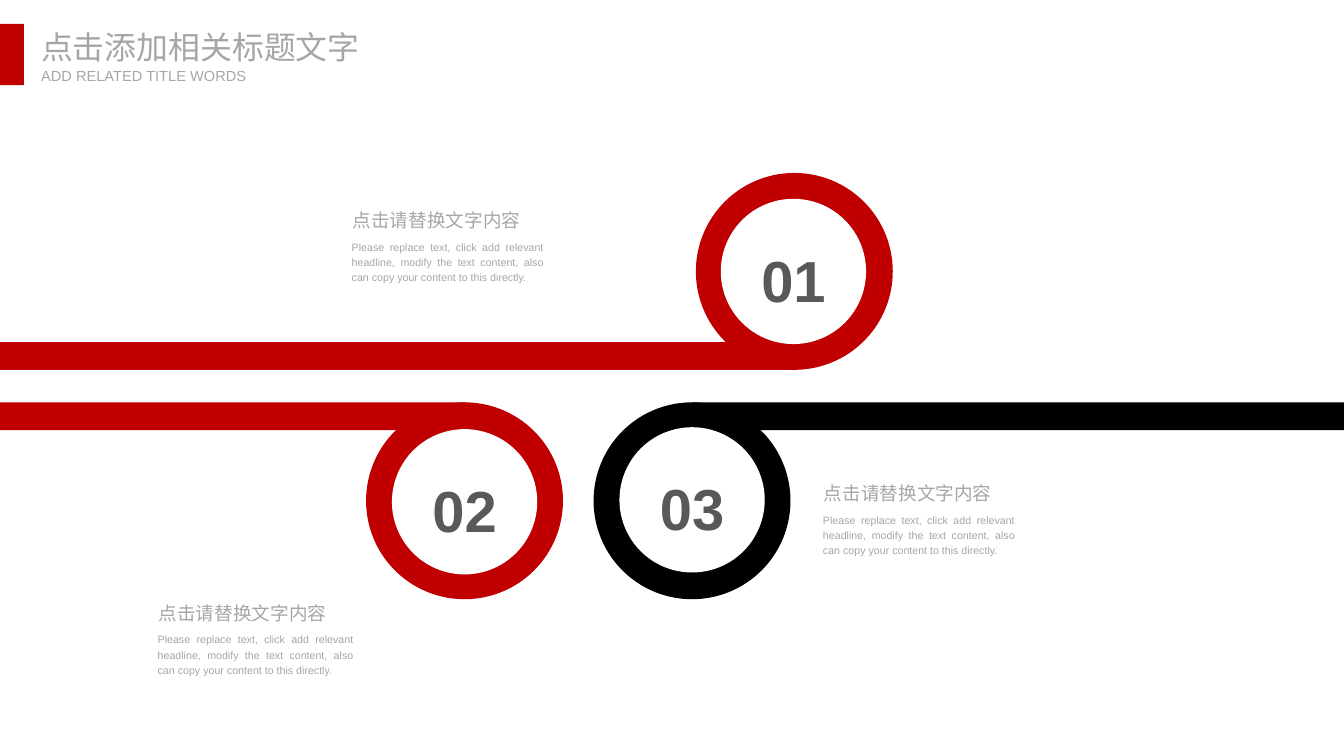
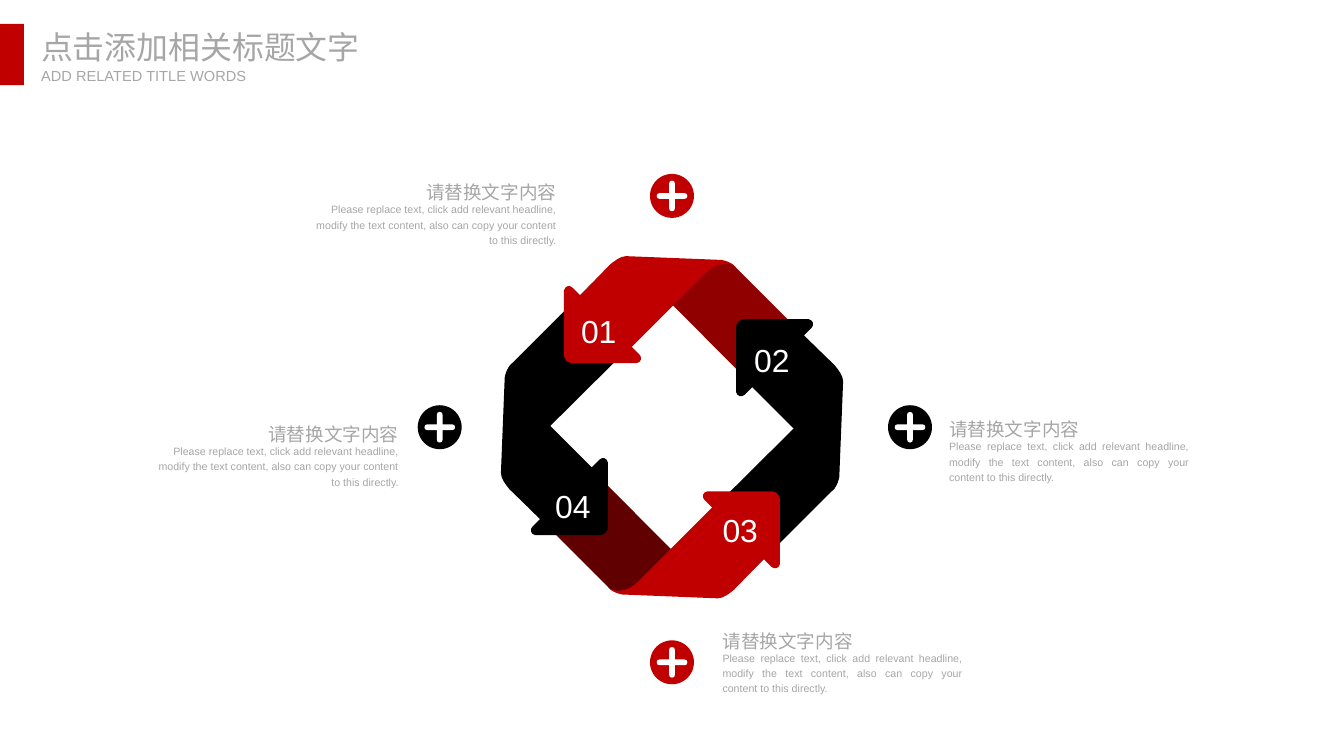
"""Build two infographic slides: linked rings and a folded arrow cycle."""
from lxml.etree import SubElement
from pptx import Presentation
from pptx.dml.color import RGBColor
from pptx.enum.shapes import MSO_SHAPE
from pptx.enum.text import MSO_ANCHOR, MSO_AUTO_SIZE, PP_ALIGN
from pptx.oxml.ns import qn
from pptx.util import Inches, Pt

WIDTH, HEIGHT = 14.06, 7.91
RED, BLACK, WHITE = "C00000", "000000", "FFFFFF"
GRAY, DARK = "A6A6A6", "595959"
LATIN, ASIAN = "Arial", "Noto Sans CJK SC"
LEFT, RIGHT, CENTER, FULL = PP_ALIGN.LEFT, PP_ALIGN.RIGHT, PP_ALIGN.CENTER, PP_ALIGN.JUSTIFY
BODY = ("Please replace text, click add relevant headline, modify the text "
        "content, also can copy your content to this directly.")

RING, HOLE, BAND = 2.06, 1.52, 0.29
DISC = 0.46
MID = (7.03, 4.47)

# Outlines: a pair is a straight step, six numbers are a curve.
ARROW = [
    (-0.48, -1.79), (-0.54, -1.79, -0.6, -1.74, -0.65, -1.7),
    (-0.96, -1.38), (-1.04, -1.46),
    (-1.07, -1.49, -1.12, -1.48, -1.13, -1.43), (-1.13, -0.76),
    (-1.13, -0.71, -1.09, -0.67, -1.04, -0.67), (-0.37, -0.67),
    (-0.32, -0.68, -0.31, -0.73, -0.34, -0.76), (-0.42, -0.84),
    (0.36, -1.62), (0.46, -1.72, 0.6, -1.74, 0.67, -1.67),
    (0.67, -1.67, 0.63, -1.73, 0.52, -1.75),
]
TAIL = [
    (0.53, -1.74), (-0.46, -1.75), (0.98, -0.3), (1.51, -0.83),
    (0.64, -1.7), (0.59, -1.73, 0.55, -1.74, 0.53, -1.74),
]
ARM = [
    (-0.03, -0.03), (-0.03, -0.13), (-0.03, -0.15, -0.02, -0.16, 0, -0.16),
    (0.02, -0.16, 0.03, -0.15, 0.03, -0.13),
]


def color(code):
    """Turn a hex string into a colour."""
    return RGBColor.from_string(code)


def paint(shape, fill):
    """Give a shape a flat fill with no line or shadow."""
    shape.shadow.inherit = False
    shape.fill.solid()
    shape.fill.fore_color.rgb = color(fill)
    shape.line.fill.background()
    return shape


def block(slide, kind, x, y, w, h, fill):
    """Add a flat preset shape."""
    box = [Inches(n) for n in (x, y, w, h)]
    return paint(slide.shapes.add_shape(kind, *box), fill)


def write(frame, text, size, tone, align=LEFT, space=1.2, font=LATIN, bold=False):
    """Fill a text frame with one styled line of text."""
    frame.text = text
    line = frame.paragraphs[0]
    line.alignment = align
    line.line_spacing = space
    run = line.runs[0]
    run.font.name = font
    run.font.size = Pt(size)
    run.font.bold = bold
    run.font.color.rgb = color(tone)
    SubElement(run._r.get_or_add_rPr(), qn("a:ea")).set("typeface", ASIAN)


def label(slide, text, x, y, w, h, size, tone=GRAY, wrap=False, inset=(0.1, 0.05), **style):
    """Add a text box."""
    box = slide.shapes.add_textbox(*[Inches(n) for n in (x, y, w, h)])
    frame = box.text_frame
    frame.word_wrap = wrap
    frame.auto_size = MSO_AUTO_SIZE.SHAPE_TO_FIT_TEXT
    frame.margin_left = frame.margin_right = Inches(inset[0])
    frame.margin_top = frame.margin_bottom = Inches(inset[1])
    write(frame, text, size, tone, **style)


def turn(steps, count):
    """Turn an outline clockwise by quarter turns about its centre."""
    for _ in range(count):
        steps = [tuple(n for i in range(0, len(step), 2)
                       for n in (-step[i + 1], step[i])) for step in steps]
    return steps


def bend(shape, steps, mid):
    """Turn the line parts of an outline into curves where its steps say so."""
    parts = list(shape._element.iter(qn("a:lnTo")))
    for part, step in zip(parts, steps[1:]):
        if len(step) == 2:
            continue
        part.tag = qn("a:cubicBezTo")
        for spot, i in enumerate((0, 2)):
            knot = SubElement(part, qn("a:pt"))
            knot.set("x", str(Inches(mid[0] + step[i]) - shape.left))
            knot.set("y", str(Inches(mid[1] + step[i + 1]) - shape.top))
            part.insert(spot, knot)


def draw(slide, steps, mid, fill):
    """Draw a closed outline about a centre."""
    points = [(Inches(mid[0] + step[-2]), Inches(mid[1] + step[-1])) for step in steps]
    pen = slide.shapes.build_freeform(*points[0])
    pen.add_line_segments(points[1:], close=True)
    shape = paint(pen.convert_to_shape(), fill)
    bend(shape, steps, mid)


def header(slide):
    """Add the red tab and the two title lines."""
    block(slide, MSO_SHAPE.RECTANGLE, 0, 0.25, 0.25, 0.64, RED)
    plain = {"inset": (0, 0), "space": 1.0}
    label(slide, "点击添加相关标题文字", 0.43, 0.29, 3.37, 0.4, 24, font=ASIAN, **plain)
    label(slide, "ADD RELATED TITLE WORDS", 0.43, 0.7, 2.18, 0.19, 11, **plain)


def ring(slide, text, x, y, hole, band, fill):
    """Add a band that ends in a numbered ring."""
    start, end, top = band
    block(slide, MSO_SHAPE.RECTANGLE, start, top, end - start, BAND, fill)
    group = slide.shapes.add_group_shape()
    block(group, MSO_SHAPE.OVAL, x, y, RING, RING, fill)
    disc = block(group, MSO_SHAPE.OVAL, *hole, HOLE, HOLE, WHITE)
    frame = disc.text_frame
    frame.vertical_anchor = MSO_ANCHOR.MIDDLE
    frame.margin_top, frame.margin_bottom = Inches(0.06), Inches(0.05)
    write(frame, text, 43.6, DARK, align=CENTER, bold=True)


def badge(slide, x, y, fill):
    """Add a disc with a rounded plus sign."""
    group = slide.shapes.add_group_shape()
    block(group, MSO_SHAPE.OVAL, x, y, DISC, DISC, fill)
    plus = [step for k in range(4) for step in turn(ARM, k)]
    draw(group, plus, (x + DISC / 2, y + DISC / 2), WHITE)


def rings(slide):
    """Build the slide of three rings."""
    ring(slide, "02", 3.83, 4.21, (4.1, 4.49), (0, 4.88, 4.21), RED)
    ring(slide, "01", 7.28, 1.81, (7.54, 2.08), (0, 8.31, 3.58), RED)
    ring(slide, "03", 6.21, 4.21, (6.48, 4.47), (7.24, WIDTH, 4.21), BLACK)
    inset = (0.11, 0.05)
    for x, y, w in ((3.57, 2.09, 2.23), (1.54, 6.2, 2.27), (8.5, 4.95, 2.23)):
        label(slide, BODY, x, y + 0.35, w, 0.59, 8, wrap=True, inset=inset, align=FULL)
        label(slide, "点击请替换文字内容", x + 0.01, y, 1.99, 0.37, 14, inset=inset)
    header(slide)


def wheel(slide):
    """Add the four folded arrows and their numbers."""
    group = slide.shapes.add_group_shape()
    draw(group, TAIL, MID, "900000")
    for k, tail, head in ((1, BLACK, BLACK), (2, "600000", RED), (3, BLACK, BLACK)):
        draw(group, turn(TAIL, k), MID, tail)
        draw(group, turn(ARROW, k), MID, head)
    draw(group, ARROW, MID, RED)
    for text, x, y in (("01", 5.98, 3.13), ("04", 5.71, 4.96),
                       ("03", 7.46, 5.21), ("02", 7.79, 3.44)):
        label(group, text, x, y, 0.58, 0.54, 24, WHITE)


def cycle(slide):
    """Build the slide of the arrow cycle."""
    for x, y, fill in ((9.29, 4.24, BLACK), (4.37, 4.24, BLACK),
                       (6.8, 1.82, RED), (6.8, 6.7, RED)):
        badge(slide, x, y, fill)
    wheel(slide)
    for x, y, w, side in ((3.1, 1.8, 2.82, RIGHT), (1.45, 4.33, 2.82, RIGHT),
                          (9.83, 4.28, 2.71, LEFT), (7.46, 6.49, 2.71, LEFT)):
        flow, start = (RIGHT, x + w - 1.58) if side == RIGHT else (FULL, x)
        label(slide, BODY, x, y + 0.25, w, 0.59, 8, wrap=True, align=flow)
        label(slide, "请替换文字内容", start, y, 1.58, 0.36, 14, align=side)
    header(slide)


def main():
    """Build and save the deck."""
    deck = Presentation()
    deck.slide_width, deck.slide_height = Inches(WIDTH), Inches(HEIGHT)
    for build in (rings, cycle):
        build(deck.slides.add_slide(deck.slide_layouts[6]))
    deck.save("out.pptx")


if __name__ == "__main__":
    main()
